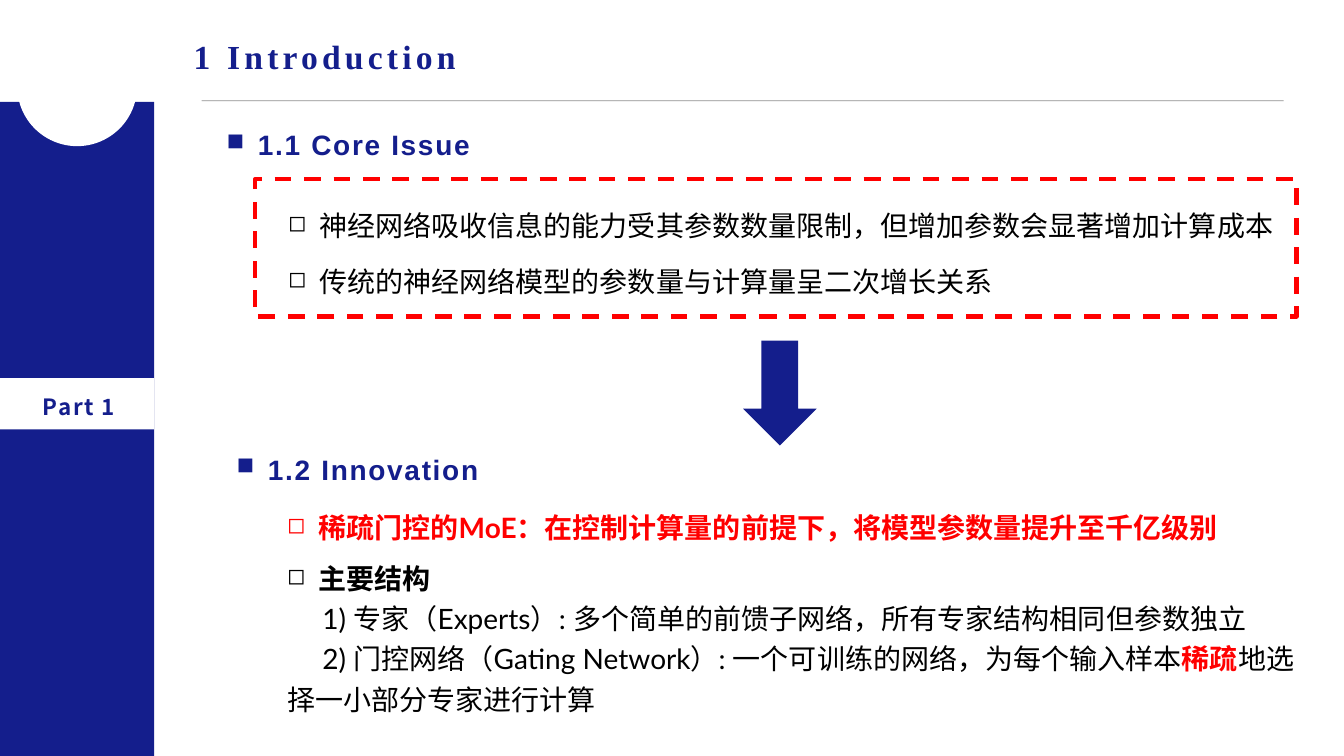
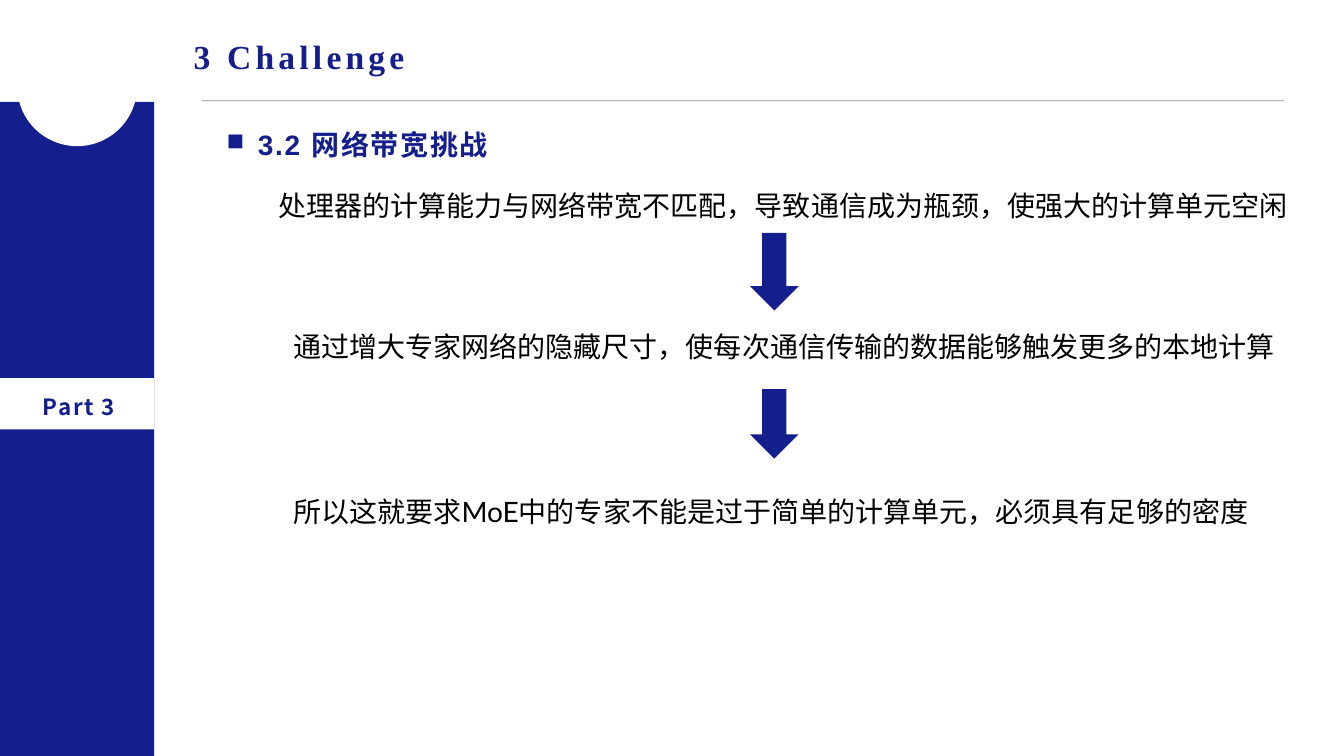
"""Build two slides on sparsely gated expert networks."""
import dataclasses

import lxml.etree
import pptx
import pptx.dml.color
import pptx.enum.dml
import pptx.enum.shapes
import pptx.enum.text
import pptx.oxml.ns
import pptx.util

Inches = pptx.util.Inches
Pt = pptx.util.Pt
Shape = pptx.enum.shapes.MSO_SHAPE
qn = pptx.oxml.ns.qn


@dataclasses.dataclass(frozen=True)
class Theme:
    navy: str = "141E8C"
    red: str = "FF0000"
    black: str = "000000"
    white: str = "FFFFFF"
    rule: str = "0D0D0D"
    title_size: int = 24
    body_size: int = 20
    part_size: int = 16
    title_font: str = "Times New Roman"
    heading_font: str = "Arial"
    body_font: str = "Lato"
    chinese_font: str = "Noto Sans CJK SC"


class Deck:
    def __init__(self, theme):
        self.theme = theme
        self.presentation = pptx.Presentation()
        self.presentation.slide_width = Inches(13.33)
        self.presentation.slide_height = Inches(7.5)
        self.slide = None

    def color(self, value):
        return pptx.dml.color.RGBColor.from_string(value)

    def start_slide(self, title, part):
        theme = self.theme
        self.slide = self.presentation.slides.add_slide(self.presentation.slide_layouts[5])
        placeholder = self.slide.shapes.title
        placeholder.left, placeholder.top = Inches(1.82), Inches(0.31)
        placeholder.width, placeholder.height = Inches(11.4), Inches(0.5)
        frame = placeholder.text_frame
        frame.auto_size = pptx.enum.text.MSO_AUTO_SIZE.NONE
        frame.vertical_anchor = pptx.enum.text.MSO_ANCHOR.TOP
        paragraph = frame.paragraphs[0]
        paragraph.alignment = pptx.enum.text.PP_ALIGN.LEFT
        self.run(paragraph, title, theme.title_font, theme.title_size, theme.navy, True, 3)

        self.block(Shape.RECTANGLE, 0, 1.01, 1.53, 6.49, theme.navy)
        self.block(Shape.OVAL, 0.17, 0.26, 1.19, 1.19, theme.white)
        self.rule(2, 12.73, 1)
        self.block(Shape.RECTANGLE, 0, 3.75, 1.53, 0.51, theme.white)
        paragraph = self.text_box(0.19, 3.82, 1.19, 0.38).paragraphs[0]
        paragraph.alignment = pptx.enum.text.PP_ALIGN.CENTER
        paragraph.line_spacing = 1.1
        self.run(paragraph, part, theme.chinese_font, theme.part_size, theme.navy, True, 1.1)

    def block(self, kind, left, top, width, height, fill):
        shape = self.slide.shapes.add_shape(
            kind, Inches(left), Inches(top), Inches(width), Inches(height))
        shape.shadow.inherit = False
        shape.fill.solid()
        shape.fill.fore_color.rgb = self.color(fill)
        shape.line.fill.background()
        return shape

    def arrow(self, left, top, width, height):
        self.block(Shape.DOWN_ARROW, left, top, width, height, self.theme.navy)

    def dashed_frame(self, left, top, width, height):
        shape = self.block(Shape.RECTANGLE, left, top, width, height, self.theme.white)
        shape.fill.background()
        shape.line.color.rgb = self.color(self.theme.red)
        shape.line.width = Pt(3)
        shape.line.dash_style = pptx.enum.dml.MSO_LINE.DASH

    def rule(self, left, right, top):
        connector = self.slide.shapes.add_connector(
            pptx.enum.shapes.MSO_CONNECTOR.STRAIGHT,
            Inches(left), Inches(top), Inches(right), Inches(top))
        connector.line.color.rgb = self.color(self.theme.rule)
        connector.line.width = Pt(0.5)
        properties = connector._element.spPr
        color = properties.find(".//" + qn("a:srgbClr"))
        lxml.etree.SubElement(color, qn("a:alpha")).set("val", "46000")
        lxml.etree.SubElement(properties, qn("a:effectLst"))

    def text_box(self, left, top, width, height):
        box = self.slide.shapes.add_textbox(
            Inches(left), Inches(top), Inches(width), Inches(height))
        box.text_frame.word_wrap = True
        return box.text_frame

    def run(self, paragraph, text, font, size, color, bold=False, spacing=0):
        run = paragraph.add_run()
        run.text = text
        run.font.name = font
        run.font.size = Pt(size)
        run.font.bold = bold
        run.font.color.rgb = self.color(color)
        properties = run._r.get_or_add_rPr()
        if spacing:
            properties.set("spc", str(round(spacing * 100)))
        east_asian = lxml.etree.SubElement(properties, qn("a:ea"))
        east_asian.set("typeface", self.theme.chinese_font)

    def indent(self, paragraph, margin, first_line):
        properties = paragraph._p.get_or_add_pPr()
        properties.set("marL", str(Inches(margin)))
        properties.set("indent", str(Inches(first_line)))

    def bullet(self, paragraph, character, percent):
        properties = paragraph._p.get_or_add_pPr()
        lxml.etree.SubElement(properties, qn("a:buSzPct")).set("val", str(percent * 1000))
        lxml.etree.SubElement(properties, qn("a:buChar")).set("char", character)

    def heading(self, text, left, top):
        theme = self.theme
        paragraph = self.text_box(left, top, 3.2, 0.44).paragraphs[0]
        self.indent(paragraph, 0.31, -0.31)
        self.bullet(paragraph, "■", 85)
        self.run(paragraph, text, theme.heading_font, theme.body_size, theme.navy, True, 1.2)

    def body(self, left, top, height=0.48):
        return self.text_box(left, top, 10.74, height)

    def body_line(self, paragraph, *pieces, bulleted=False, first_line=0):
        theme = self.theme
        paragraph.level = 1
        paragraph.line_spacing = 1.2
        if bulleted:
            self.indent(paragraph, 0.81, -0.31)
            self.bullet(paragraph, "◻", 80)
        else:
            self.indent(paragraph, 0.5, first_line)
        for text, color, bold in pieces:
            self.run(paragraph, text, theme.body_font, theme.body_size, color, bold)


def add_introduction(deck):
    theme = deck.theme
    deck.start_slide("1 Introduction", "Part 1")
    deck.heading("1.1 Core Issue", 2.15, 1.22)
    issues = (
        "神经网络吸收信息的能力受其参数数量限制，但增加参数会显著增加计算成本",
        "传统的神经网络模型的参数量与计算量呈二次增长关系",
    )
    for index, issue in enumerate(issues):
        frame = deck.body(2.26, 1.95 + 0.56 * index)
        deck.body_line(frame.paragraphs[0], (issue, theme.black, False), bulleted=True)
    deck.arrow(7.37, 3.38, 0.73, 1.04)
    deck.dashed_frame(2.53, 1.78, 10.33, 1.36)

    deck.heading("1.2 Innovation", 2.25, 4.44)
    innovation = "稀疏门控的MoE：在控制计算量的前提下，将模型参数量提升至千亿级别"
    deck.body_line(deck.body(2.25, 4.95).paragraphs[0],
                   (innovation, theme.red, True), bulleted=True)
    frame = deck.body(2.25, 5.45, 1.69)
    deck.body_line(frame.paragraphs[0], ("主要结构", theme.black, True), bulleted=True)
    experts = "1) 专家（Experts）: 多个简单的前馈子网络，所有专家结构相同但参数独立"
    gating = "2) 门控网络（Gating Network）: 一个可训练的网络，为每个输入样本"
    structure = (
        [(experts, theme.black, False)],
        [(gating, theme.black, False), ("稀疏", theme.red, True),
         ("地选择一小部分专家进行计算", theme.black, False)],
    )
    for pieces in structure:
        deck.body_line(frame.add_paragraph(), *pieces, first_line=0.35)


def add_challenge(deck):
    deck.start_slide("3 Challenge", "Part 3")
    deck.heading("3.2 网络带宽挑战", 2.15, 1.22)
    steps = (
        (2.16, 1.75, "处理器的计算能力与网络带宽不匹配，导致通信成为瓶颈，使强大的计算单元空闲"),
        (2.31, 3.15, "通过增大专家网络的隐藏尺寸，使每次通信传输的数据能够触发更多的本地计算"),
        (2.31, 4.79, "所以这就要求MoE中的专家不能是过于简单的计算单元，必须具有足够的密度"),
    )
    for left, top, text in steps:
        deck.body_line(deck.body(left, top).paragraphs[0], (text, deck.theme.black, False))
    for top, height in ((2.31, 0.77), (3.86, 0.69)):
        deck.arrow(7.44, top, 0.48, height)


def main():
    deck = Deck(Theme())
    add_introduction(deck)
    add_challenge(deck)
    deck.presentation.save("out.pptx")


if __name__ == "__main__":
    main()
